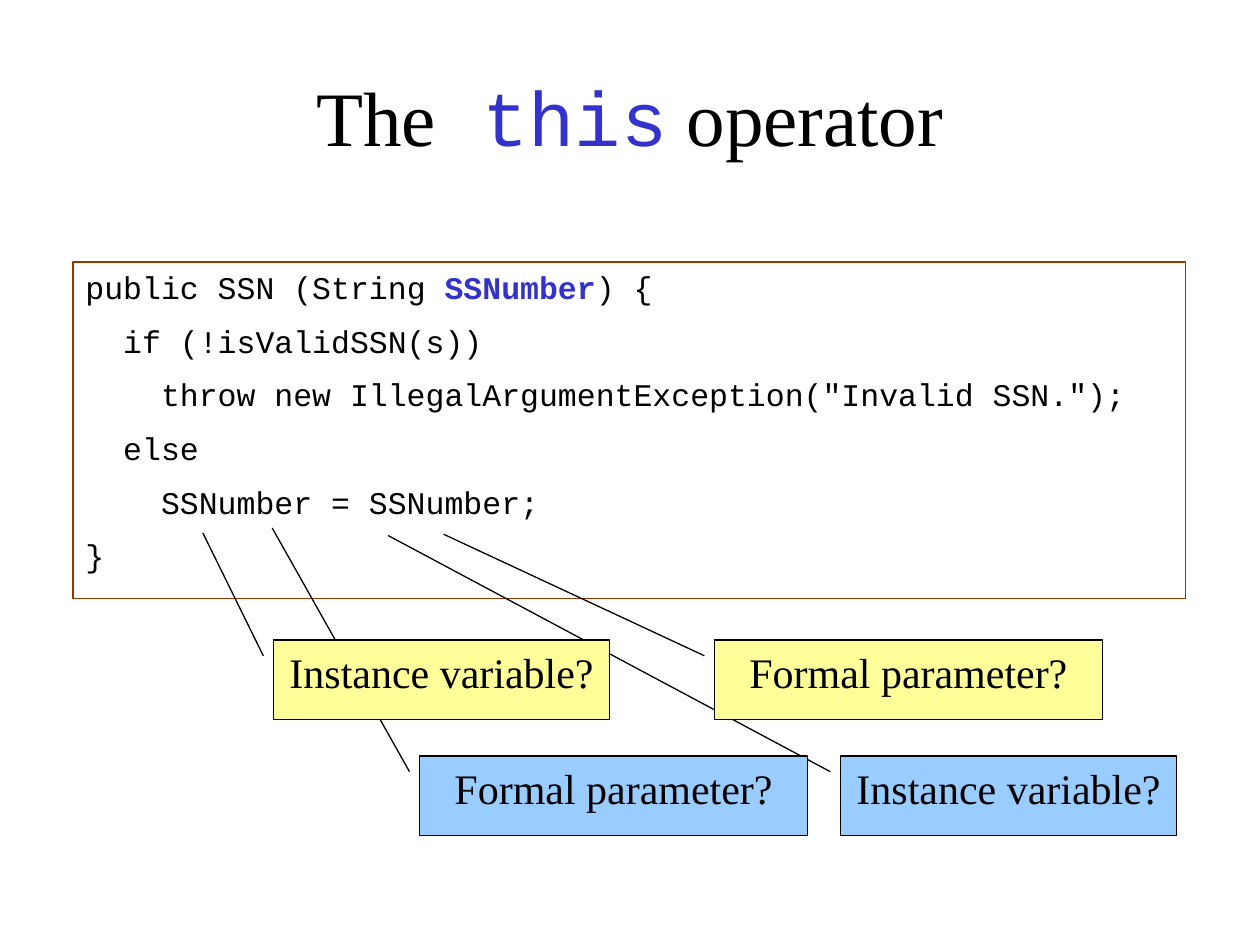
from pptx import Presentation
from pptx.dml.color import RGBColor as Rgb
from pptx.enum.shapes import MSO_SHAPE as Kind
from pptx.enum.text import MSO_ANCHOR as Anchor, MSO_AUTO_SIZE as Auto, PP_ALIGN as Align
from pptx.oxml.ns import qn
from pptx.util import Inches, Pt
from lxml.etree import SubElement as Sub

ink = {"black": "000000", "blue": "3333CC", "brown": "993300",
       "yellow": "FFFF99", "sky": "99CCFF"}
serif, mono = "Times New Roman", "Courier New"


def write(para, text, font=serif, size=24, color="black", bold=False, align=Align.LEFT):
    para.alignment = align
    run = para.add_run()
    run.text = text
    run.font.name = font
    run.font.size = Pt(size)
    run.font.bold = bold
    run.font.color.rgb = Rgb.from_string(ink[color])


def place(kind, left, top, width, height, line, fill=None):
    shape = slide.shapes.add_shape(
        kind, Inches(left), Inches(top), Inches(width), Inches(height))
    shape.shadow.inherit = False
    if fill:
        shape.fill.solid()
        shape.fill.fore_color.rgb = Rgb.from_string(ink[fill])
    else:
        shape.fill.background()
    shape.line.color.rgb = Rgb.from_string(ink[line])
    shape.line.width = Pt(0.75)
    shape.text_frame.word_wrap = True
    shape.text_frame.vertical_anchor = Anchor.TOP
    return shape


deck = Presentation()
deck.slide_width, deck.slide_height = Inches(10), Inches(7.5)
slide = deck.slides.add_slide(deck.slide_layouts[6])

title = slide.shapes.add_textbox(Inches(0.75), Inches(0.5), Inches(8.5), Inches(0.83))
title.text_frame.word_wrap = True
title.text_frame.vertical_anchor = Anchor.MIDDLE
head = title.text_frame.paragraphs[0]
for text, font, color in [("The", serif, "black"), (" this", mono, "blue"),
                          (" operator", serif, "black")]:
    write(head, text, font=font, size=44, color=color, align=Align.CENTER)

code = [
    (0, ["public SSN (String ", "SSNumber", ") {"]),
    (1, ["if (!isValidSSN(s))"]),
    (2, ['throw new IllegalArgumentException("Invalid SSN.");']),
    (1, ["else"]),
    (2, ["SSNumber = SSNumber;"]),
    (0, ["}"]),
]
frame = place(Kind.RECTANGLE, 0.58, 2.08, 8.83, 2.67, "brown").text_frame
frame.auto_size = Auto.SHAPE_TO_FIT_TEXT
for row, (level, parts) in enumerate(code):
    para = frame.add_paragraph() if row else frame.paragraphs[0]
    props = para._p.get_or_add_pPr()
    props.set("marL", str(Inches(0.3 * level)))
    Sub(Sub(props, qn("a:spcBef")), qn("a:spcPct")).set("val", "50000")
    for text in parts:
        key = text == "SSNumber"
        write(para, text, font=mono, size=18, color="blue" if key else "black", bold=key)

tall = 0.63
notes = [
    ("Instance variable?", 6.67, 6, 2.67, "sky", 3.08, 4.25),
    ("Formal parameter?", 5.67, 5.08, 3.08, "yellow", 3.52, 4.24),
    ("Formal parameter?", 3.33, 6, 3.08, "sky", 2.16, 4.19),
    ("Instance variable?", 2.17, 5.08, 2.67, "yellow", 1.61, 4.23),
]
for text, left, top, width, fill, tip_x, tip_y in notes:
    note = place(Kind.LINE_CALLOUT_1, left, top, width, tall, "black", fill)
    ends = [0.125 / tall, -0.08 / width, (tip_y - top) / tall, (tip_x - left) / width]
    for index, value in enumerate(ends):
        note.adjustments[index] = value
    write(note.text_frame.paragraphs[0], text, align=Align.CENTER)

deck.save("out.pptx")
